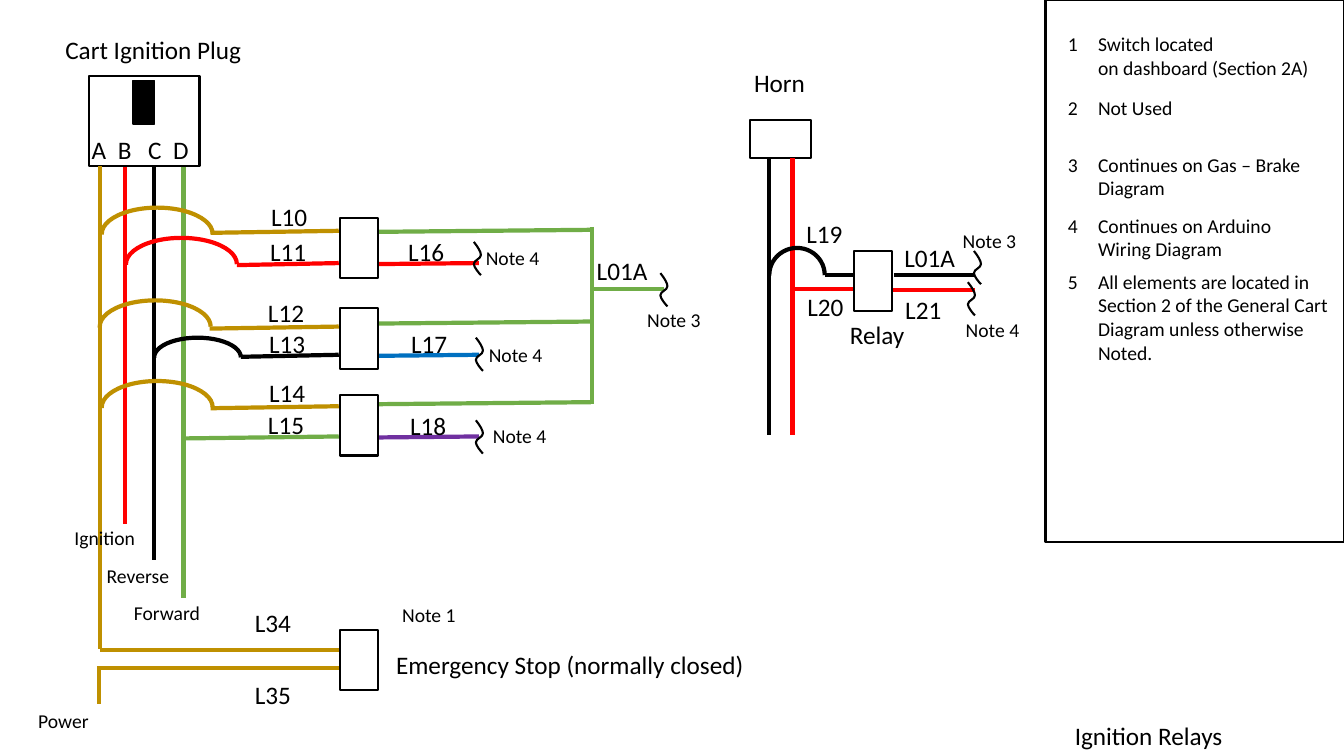
import pptx
import pptx.dml.color
import pptx.enum.shapes
import pptx.enum.text
import pptx.util
from lxml import etree
from pptx.oxml.ns import qn
from pptx.util import Inches

RGBColor = pptx.dml.color.RGBColor
BLACK = RGBColor(0, 0, 0)
WHITE = RGBColor(0xFF, 0xFF, 0xFF)
RED = RGBColor(0xFF, 0, 0)
GREEN = RGBColor(0x70, 0xAD, 0x47)
GOLD = RGBColor(0xBF, 0x90, 0)
BLUE = RGBColor(0, 0x70, 0xC0)
PURPLE = RGBColor(0x70, 0x30, 0xA0)

# Two control points and the end point of each curve, from the break's corner
BREAK_CURVES = [
    ((0.04, 0.05), (0.07, 0.10), (0.07, 0.13)),
    ((0.07, 0.17), (0, 0.18), (0, 0.22)),
    ((0, 0.25), (0.05, 0.31), (0.07, 0.33)),
]


class Diagram:
    font = "Calibri"
    wire_width = 3
    outline_width = 1.5

    def __init__(self, page):
        self.page = page
        self.shapes = page.shapes

    def style_font(self, paragraph, size):
        paragraph.font.name = self.font
        paragraph.font.size = pptx.util.Pt(size)
        paragraph.font.color.rgb = BLACK

    def place(self, box, left, top, width, height):
        box.left, box.top = Inches(left), Inches(top)
        box.width, box.height = Inches(width), Inches(height)

    def title(self, text, left, top, width, height):
        box = self.shapes.title
        self.place(box, left, top, width, height)
        frame = box.text_frame
        frame.text = text
        frame.word_wrap = False
        frame.auto_size = pptx.enum.text.MSO_AUTO_SIZE.NONE
        frame.vertical_anchor = pptx.enum.text.MSO_ANCHOR.TOP
        frame.paragraphs[0].alignment = pptx.enum.text.PP_ALIGN.LEFT
        self.style_font(frame.paragraphs[0], 18)

    def numbered_list(self, notes, left, top, width, height):
        """Fill the body placeholder with (space before, text) notes."""
        box = self.page.placeholders[1]
        self.place(box, left, top, width, height)
        frame = box.text_frame
        frame.margin_right = 0
        frame.auto_size = pptx.enum.text.MSO_AUTO_SIZE.NONE
        frame.text = "\n".join(text for _, text in notes)
        for paragraph, (space, _) in zip(frame.paragraphs, notes):
            paragraph.space_before = pptx.util.Pt(space)
            self.style_font(paragraph, 14)
            properties = paragraph._p.get_or_add_pPr()
            properties.set("marL", str(Inches(0.3)))
            properties.set("indent", str(-Inches(0.3)))
            number = etree.Element(qn("a:buAutoNum"), type="arabicPlain")
            properties.find(qn("a:defRPr")).addprevious(number)

    def label(self, text, left, top, width, size=18, stops=()):
        height = 0.4 if size == 18 else 0.34
        box = self.shapes.add_textbox(*map(Inches, (left, top, width, height)))
        frame = box.text_frame
        frame.word_wrap = False
        frame.auto_size = pptx.enum.text.MSO_AUTO_SIZE.SHAPE_TO_FIT_TEXT
        paragraph = frame.paragraphs[0]
        paragraph.text = text
        self.style_font(paragraph, size)
        if stops:
            tabs = etree.Element(qn("a:tabLst"))
            for stop in stops:
                etree.SubElement(tabs, qn("a:tab"), pos=str(Inches(stop)), algn="l")
            paragraph._p.get_or_add_pPr().insert(0, tabs)

    def outline(self, shape, color, width, fill=None):
        shape.shadow.inherit = False
        shape.line.color.rgb = color
        shape.line.width = pptx.util.Pt(width)
        if fill is None:
            shape.fill.background()
        else:
            shape.fill.solid()
            shape.fill.fore_color.rgb = fill

    def box(self, left, top, width, height, fill=None, line=outline_width):
        shape = self.shapes.add_shape(
            pptx.enum.shapes.MSO_SHAPE.RECTANGLE,
            *map(Inches, (left, top, width, height)))
        self.outline(shape, BLACK, line, fill)
        return shape

    def relay(self, left, top):
        """Draw a box turned upright; left and top are those before turning."""
        self.box(left, top, 0.6, 0.38, WHITE).rotation = 90

    def hop(self, left, top, color, width=1.1, height=0.52):
        """Draw the half arc that carries a wire over its neighbours."""
        shape = self.shapes.add_shape(
            pptx.enum.shapes.MSO_SHAPE.ARC,
            *map(Inches, (left, top, width, height)))
        shape.adjustments[0] = 107.44
        shape.adjustments[1] = 0
        self.outline(shape, color, self.wire_width)

    def wire(self, color, *ends):
        line = self.shapes.add_connector(
            pptx.enum.shapes.MSO_CONNECTOR.STRAIGHT, *map(Inches, ends))
        line.line.color.rgb = color
        line.line.width = pptx.util.Pt(self.wire_width)
        etree.SubElement(line._element.spPr, qn("a:effectLst"))

    def wire_break(self, left, top):
        """Draw the S-curve that ends a wire continued elsewhere."""
        builder = self.shapes.build_freeform(Inches(left), Inches(top))
        builder.add_line_segments(
            [(Inches(left + x), Inches(top + y)) for _, _, (x, y) in BREAK_CURVES],
            close=False)
        shape = builder.convert_to_shape()
        segments = list(shape._element.iter(qn("a:lnTo")))
        for segment, curve in zip(segments, BREAK_CURVES):
            bend = etree.Element(qn("a:cubicBezTo"))
            for x, y in curve:
                etree.SubElement(bend, qn("a:pt"), x=str(Inches(x)), y=str(Inches(y)))
            segment.getparent().replace(segment, bend)
        self.outline(shape, BLACK, self.outline_width)


def draw_notes(diagram):
    diagram.title("Ignition Relays", 10.56, 7.1, 1.68, 0.4)
    diagram.box(10.37, 0, 2.96, 5.38)
    diagram.numbered_list([
        (0, "Switch located\von dashboard (Section 2A)"),
        (11.5, "Not Used"),
        (24, "Continues on Gas – Brake\vDiagram"),
        (10, "Continues on Arduino\vWiring Diagram"),
        (6.5, "All elements are located in\vSection 2 of the General Cart\v"
              "Diagram unless otherwise\vNoted."),
    ], 10.49, 0.27, 2.84, 3.4)


def draw_ignition(diagram):
    for color, x, bottom in [(RED, 1.24, 5.2), (BLACK, 1.53, 5.56),
                             (GREEN, 1.82, 5.93)]:
        diagram.wire(color, x, 1.65, x, bottom)
    diagram.label("Cart Ignition Plug", 0.55, 0.29, 1.97)
    diagram.box(0.88, 0.75, 1.1, 0.9)
    diagram.box(1.32, 0.8, 0.21, 0.43, BLACK, 1)
    diagram.wire(GOLD, 0.99, 1.65, 0.99, 6.44)
    diagram.label("A\tB\tC\tD", 0.81, 1.28, 1.18, stops=(0.26, 0.56, 0.81))

    for left, top in [(1.01, 2.06), (0.99, 2.98), (1.01, 3.78)]:
        diagram.hop(left, top, GOLD)
    diagram.hop(1.25, 2.36, RED)
    diagram.hop(1.53, 3.35, BLACK, 0.86, 0.39)
    for color, x, y in [(GOLD, 2.09, 2.31), (GOLD, 2.08, 3.26), (GOLD, 2.09, 4.05),
                        (RED, 2.35, 2.63), (BLACK, 2.39, 3.54), (GREEN, 1.81, 4.35)]:
        diagram.wire(color, x, y, 3.36, y - 0.02)
    for y in (2.3, 3.21, 4.01):
        diagram.wire(GREEN, 3.75, y, 5.86, y - 0.02)
    diagram.wire(GREEN, 5.87, 2.25, 5.87, 4.01)
    diagram.wire(GREEN, 5.87, 2.87, 6.59, 2.87)
    for color, y, break_x, break_y in [(RED, 2.62, 4.7, 2.4), (BLUE, 3.53, 4.72, 3.35),
                                       (PURPLE, 4.34, 4.72, 4.17)]:
        diagram.wire(color, 3.75, y, 4.75, y - 0.01)
        diagram.wire_break(break_x, break_y)
    diagram.wire_break(6.55, 2.71)
    diagram.wire(GOLD, 0.98, 6.61, 0.98, 6.98)
    diagram.wire(GOLD, 0.99, 6.45, 3.4, 6.45)
    diagram.wire(GOLD, 0.96, 6.63, 3.37, 6.63)
    for top in (2.27, 3.17, 4.03, 6.36):
        diagram.relay(3.26, top)

    for text, left, top in [
            ("L10", 2.59, 1.95), ("L11", 2.58, 2.3), ("L12", 2.56, 2.9),
            ("L13", 2.57, 3.21), ("L14", 2.57, 3.69), ("L15", 2.56, 4.01),
            ("L16", 3.95, 2.3), ("L17", 3.98, 3.21), ("L18", 3.97, 4.02),
            ("L34", 2.43, 5.98), ("L35", 2.43, 6.69)]:
        diagram.label(text, left, top, 0.56)
    diagram.label("L01A", 5.82, 2.48, 0.71)
    diagram.label("Emergency Stop (normally closed)", 3.83, 6.39, 3.69)
    for text, left, top, width in [
            ("Note 3", 6.32, 3.01, 0.74), ("Note 4", 4.72, 2.39, 0.74),
            ("Note 4", 4.75, 3.35, 0.74), ("Note 4", 4.79, 4.16, 0.74),
            ("Note 1", 3.89, 5.93, 0.74), ("Power", 0.28, 6.98, 0.71),
            ("Ignition", 0.64, 5.17, 0.81), ("Reverse", 0.96, 5.55, 0.83),
            ("Forward", 1.23, 5.91, 0.86)]:
        diagram.label(text, left, top, width, 14)


def draw_horn(diagram):
    diagram.box(7.44, 1.19, 0.6, 0.38, WHITE)
    diagram.wire(RED, 7.86, 1.57, 7.86, 4.32)
    diagram.wire(BLACK, 7.63, 1.57, 7.63, 4.32)
    diagram.hop(7.63, 2.46, BLACK, 0.55, 0.54)
    for color, start, end, y in [(BLACK, 8.18, 8.47, 2.73), (RED, 7.87, 8.47, 2.87),
                                 (BLACK, 8.87, 9.67, 2.73), (RED, 8.84, 9.67, 2.88)]:
        diagram.wire(color, end, y, start, y)
    diagram.relay(8.36, 2.6)
    diagram.wire_break(9.66, 2.49)
    diagram.wire_break(9.6, 2.8)
    for text, left, top, width in [
            ("Horn", 7.38, 0.62, 0.71), ("Relay", 8.33, 3.12, 0.75),
            ("L19", 7.9, 2.12, 0.56), ("L20", 7.91, 2.84, 0.56),
            ("L21", 8.88, 2.87, 0.56), ("L01A", 8.87, 2.36, 0.71)]:
        diagram.label(text, left, top, width)
    diagram.label("Note 3", 9.45, 2.22, 0.74, 14)
    diagram.label("Note 4", 9.48, 3.1, 0.74, 14)


def main():
    deck = pptx.Presentation()
    deck.slide_width, deck.slide_height = Inches(13.33), Inches(7.5)
    diagram = Diagram(deck.slides.add_slide(deck.slide_layouts[1]))
    draw_notes(diagram)
    draw_ignition(diagram)
    draw_horn(diagram)
    deck.save("out.pptx")


if __name__ == "__main__":
    main()
